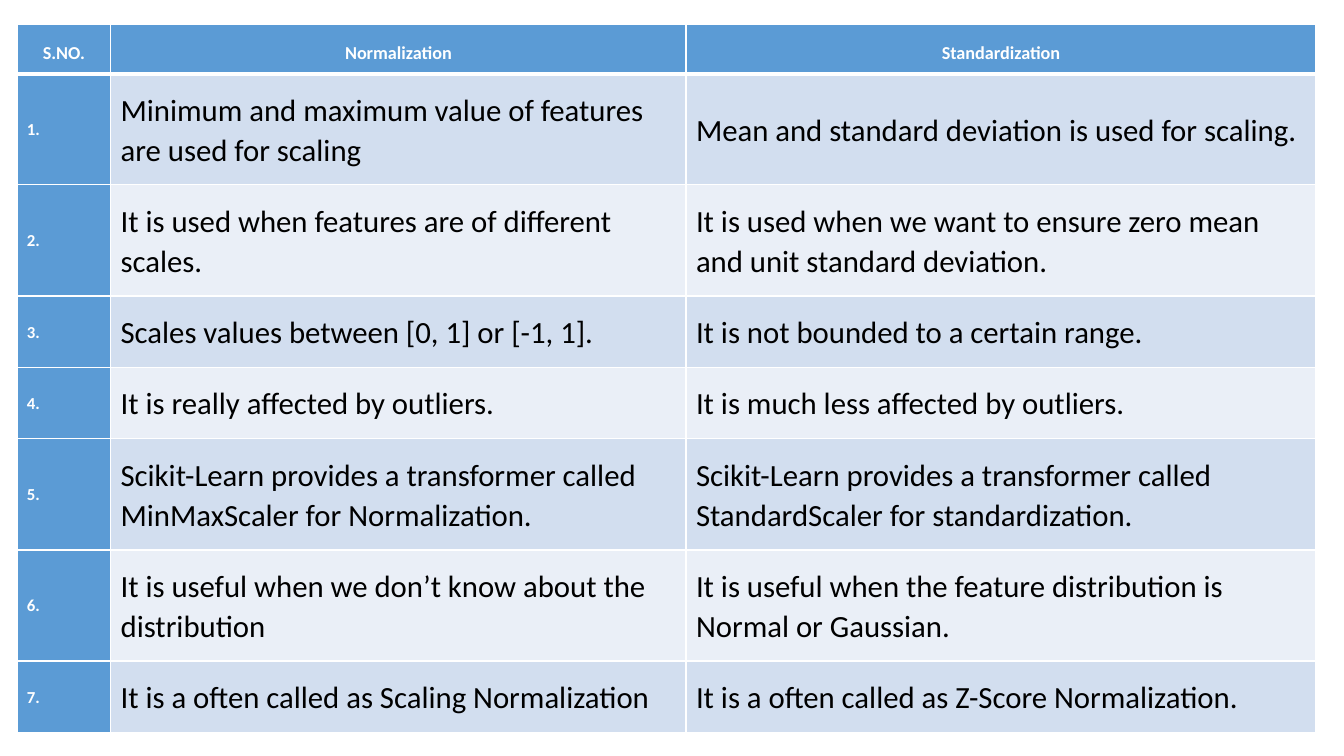
from lxml import etree
from pptx import Presentation
from pptx import util as u
from pptx.dml import color
from pptx.enum import text
from pptx.oxml import ns

COLOURS = {
    "header": "5B9BD5",
    "odd": "D2DEEF",
    "even": "EAEFF7",
    "border": "FFFFFF",
    "light": "FFFFFF",
    "dark": "000000",
}
FONT = "Calibri"
COLUMN_WIDTHS = [2.36, 14.5, 15.87]
ROW_HEIGHTS = [1.24, 2.8, 2.8, 1.8, 1.8, 2.8, 2.8, 1.8]
HEADINGS = ["S.NO.", "Normalization", "Standardization"]
COMPARISONS = [
    ("Minimum and maximum value of features are used for scaling",
     "Mean and standard deviation is used for scaling."),
    ("It is used when features are of different scales.",
     "It is used when we want to ensure zero mean and unit standard deviation."),
    ("Scales values between [0, 1] or [-1, 1].",
     "It is not bounded to a certain range."),
    ("It is really affected by outliers.",
     "It is much less affected by outliers."),
    ("Scikit-Learn provides a transformer called MinMaxScaler for Normalization.",
     "Scikit-Learn provides a transformer called StandardScaler for standardization."),
    ("It is useful when we don’t know about the distribution",
     "It is useful when the feature distribution is Normal or Gaussian."),
    ("It is a often called as Scaling Normalization",
     "It is a often called as Z-Score Normalization."),
]


def rgb(name):
    return color.RGBColor.from_string(COLOURS[name])


def set_borders(cell, **widths):
    properties = cell._tc.get_or_add_tcPr()
    for side in "LRTB":
        line = etree.SubElement(properties, ns.qn(f"a:ln{side}"),
                                w=str(u.Pt(widths.get(side, 1))))
        fill = etree.SubElement(line, ns.qn("a:solidFill"))
        etree.SubElement(fill, ns.qn("a:srgbClr"), val=COLOURS["border"])


def set_margins(cell, horizontal, vertical):
    cell.margin_left = cell.margin_right = u.Cm(horizontal)
    cell.margin_top = cell.margin_bottom = u.Cm(vertical)


def write_text(cell, words, size, colour, bold=False,
               align=text.PP_ALIGN.LEFT, anchor=text.MSO_ANCHOR.MIDDLE):
    cell.vertical_anchor = anchor
    para = cell.text_frame.paragraphs[0]
    para.alignment = align
    para.line_spacing = 1.07
    para.space_after = u.Pt(8)
    span = para.add_run()
    span.text = words
    span.font.name = FONT
    span.font.size = u.Pt(size)
    span.font.bold = bold
    span.font.color.rgb = rgb(colour)


def paint(cell, colour):
    cell.fill.solid()
    cell.fill.fore_color.rgb = rgb(colour)


def add_grid(page, left, top):
    frame = page.shapes.add_table(
        len(ROW_HEIGHTS), len(COLUMN_WIDTHS), u.Cm(left), u.Cm(top),
        u.Cm(sum(COLUMN_WIDTHS)), u.Cm(sum(ROW_HEIGHTS)))
    table = frame.table
    for column, width in zip(table.columns, COLUMN_WIDTHS):
        column.width = u.Cm(width)
    for row, height in zip(table.rows, ROW_HEIGHTS):
        row.height = u.Cm(height)
    return table


def fill_header(table):
    for index, heading in enumerate(HEADINGS):
        cell = table.cell(0, index)
        set_borders(cell, B=3)
        set_margins(cell, 0.25 if index else 0.1, 0.25)
        write_text(cell, heading, size=13, colour="light", bold=True,
                   align=text.PP_ALIGN.CENTER, anchor=text.MSO_ANCHOR.BOTTOM)
        paint(cell, "header")


def fill_body(table):
    for number, comparison in enumerate(COMPARISONS, 1):
        band = "odd" if number % 2 else "even"
        for index, words in enumerate((f"{number}.", *comparison)):
            cell = table.cell(number, index)
            set_borders(cell, T=3 if number == 1 else 1)
            set_margins(cell, 0.25, 0.36)
            if index == 0:
                write_text(cell, words, size=12, colour="light", bold=True)
                paint(cell, "header")
            else:
                write_text(cell, words, size=22, colour="dark")
                paint(cell, band)


def main():
    deck = Presentation()
    deck.slide_width = u.Cm(33.87)
    deck.slide_height = u.Cm(19.05)
    page = deck.slides.add_slide(deck.slide_layouts[6])
    table = add_grid(page, left=0.43, top=0.62)
    fill_header(table)
    fill_body(table)
    deck.save("out.pptx")


if __name__ == "__main__":
    main()
